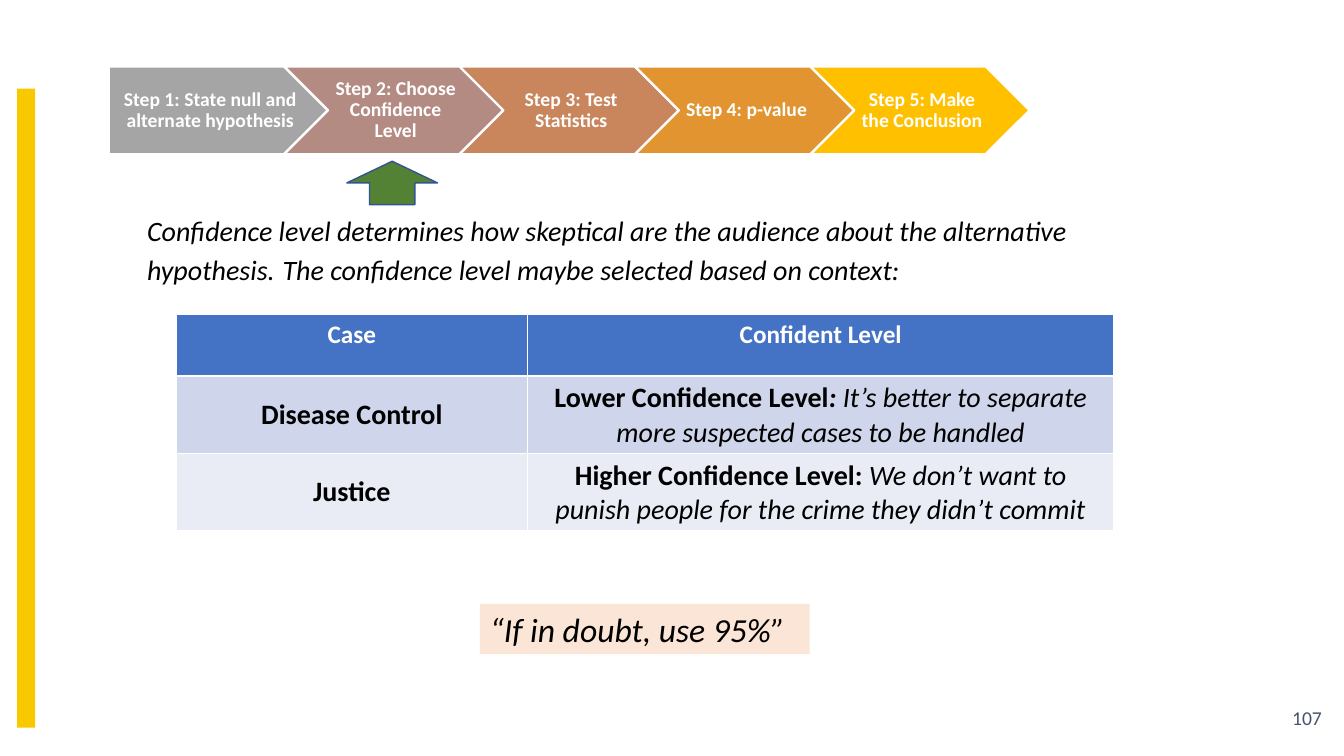
"""Builds the confidence level slide of a hypothesis testing lesson."""
import pptx
import pptx.util
import pptx.dml.color
import pptx.enum.shapes
import pptx.enum.text

Inches = pptx.util.Inches
Pt = pptx.util.Pt
SHAPE = pptx.enum.shapes.MSO_SHAPE
ALIGN = pptx.enum.text.PP_ALIGN
ANCHOR = pptx.enum.text.MSO_ANCHOR


def color(hex_code):
    """Turn a hex string into a colour."""
    return pptx.dml.color.RGBColor.from_string(hex_code)


class SlideBuilder:
    """Holds the text style and the current slide."""

    font_name = "Calibri"

    def __init__(self, slide):
        """Keep the slide to draw on."""
        self.slide = slide

    def add_runs(self, paragraph, runs, ink="000000", align=ALIGN.LEFT):
        """Fill a paragraph with runs of (text, size, bold, italic)."""
        paragraph.alignment = align
        for text, size, bold, italic in runs:
            run = paragraph.add_run()
            run.text = text
            run.font.name = self.font_name
            run.font.size = Pt(size)
            run.font.bold = bold
            run.font.italic = italic
            run.font.color.rgb = color(ink)

    def shape(self, kind, box, fill, line=None, line_width=1):
        """Add a filled preset shape with an optional outline."""
        shape = self.slide.shapes.add_shape(kind, *map(Inches, box))
        shape.shadow.inherit = False
        shape.fill.solid()
        shape.fill.fore_color.rgb = color(fill)
        if line:
            shape.line.color.rgb = color(line)
            shape.line.width = Pt(line_width)
        else:
            shape.line.fill.background()
        return shape

    def step(self, kind, box, fill, label, left_inset):
        """Add one labelled arrow of the process."""
        frame = self.shape(kind, box, fill, "FFFFFF", 1.5).text_frame
        frame.word_wrap = True
        frame.vertical_anchor = ANCHOR.MIDDLE
        frame.margin_left, frame.margin_right = Inches(left_inset), Inches(0.02)
        frame.margin_top = frame.margin_bottom = Inches(0.04)
        frame.paragraphs[0].line_spacing = 0.9
        self.add_runs(frame.paragraphs[0], [(label, 14, True, False)], "FFFFFF", ALIGN.CENTER)

    def text(self, box, runs, ink="000000", align=ALIGN.LEFT, anchor=ANCHOR.TOP):
        """Add a wrapping text box."""
        text_box = self.slide.shapes.add_textbox(*map(Inches, box))
        frame = text_box.text_frame
        frame.word_wrap = True
        frame.vertical_anchor = anchor
        self.add_runs(frame.paragraphs[0], runs, ink, align)
        return text_box

    def table(self, box, widths, heights, rows, fills):
        """Add a table with a header row and one fill per row."""
        table = self.slide.shapes.add_table(
            len(rows), len(widths), *map(Inches, box)).table
        for column, width in zip(table.columns, widths):
            column.width = Inches(width)
        for index, (row, height, fill) in enumerate(zip(rows, heights, fills)):
            table.rows[index].height = Inches(height)
            for cell, runs in zip(table.rows[index].cells, row):
                cell.fill.solid()
                cell.fill.fore_color.rgb = color(fill)
                cell.vertical_anchor = ANCHOR.MIDDLE if index else ANCHOR.TOP
                self.add_runs(cell.text_frame.paragraphs[0], runs,
                              "000000" if index else "FFFFFF", ALIGN.CENTER)


def main():
    """Build the slide and save it."""
    deck = pptx.Presentation()
    deck.slide_width, deck.slide_height = Inches(13.33), Inches(7.5)
    builder = SlideBuilder(deck.slides.add_slide(deck.slide_layouts[6]))

    builder.text((10.21, 6.92, 3, 0.4), [("107", 14, False, False)],
                 "44546A", ALIGN.RIGHT, ANCHOR.MIDDLE)
    builder.text((1.36, 2.07, 9.39, 0.84), [
        ("Confidence level determines how skeptical are the audience "
         "about the alternative hypothesis.", 20, False, True),
        (" ", 24, False, True),
        ("The confidence level maybe selected based on context:", 20, False, True),
    ])
    builder.shape(SHAPE.RECTANGLE, (0.17, 0.88, 0.18, 6.34), "F9C900")

    cases = [
        [[("Case", 18, True, False)], [("Confident Level", 18, True, False)]],
        [[("Disease Control", 20, True, False)],
         [("Lower Confidence Level", 20, True, False),
          (": ", 20, True, True),
          ("It’s better to separate more suspected cases to be handled",
           20, False, True)]],
        [[("Justice", 20, True, False)],
         [("Higher Confidence Level: ", 20, True, False),
          ("We don’t want to punish people for the crime they didn’t commit",
           20, False, True)]],
    ]
    builder.table((1.75, 3.12, 9.3, 2.13), (3.48, 5.82), (0.61, 0.76, 0.76),
                  cases, ("4472C4", "CFD5EA", "E9EBF5"))

    advice = builder.text((4.76, 5.99, 3.27, 0.5),
                          [("“If in doubt, use 95%”", 24, False, True)])
    advice.fill.solid()
    advice.fill.fore_color.rgb = color("FBE5D6")

    steps = [
        ("Step 1: State null and alternate hypothesis", "A5A5A5"),
        ("Step 2: Choose Confidence Level", "B48B83"),
        ("Step 3: Test Statistics", "C9855C"),
        ("Step 4: p-value", "E19430"),
        ("Step 5: Make the Conclusion", "FFC000"),
    ]
    for index, (label, fill) in enumerate(steps):
        kind, inset = (SHAPE.CHEVRON, 0.06) if index else (SHAPE.PENTAGON, 0.08)
        builder.step(kind, (1.08 + 1.74 * index, 0.66, 2.17, 0.87), fill, label, inset)
    builder.shape(SHAPE.UP_ARROW, (3.44, 1.6, 0.9, 0.43), "548235", "325491")

    deck.save("out.pptx")


if __name__ == "__main__":
    main()
